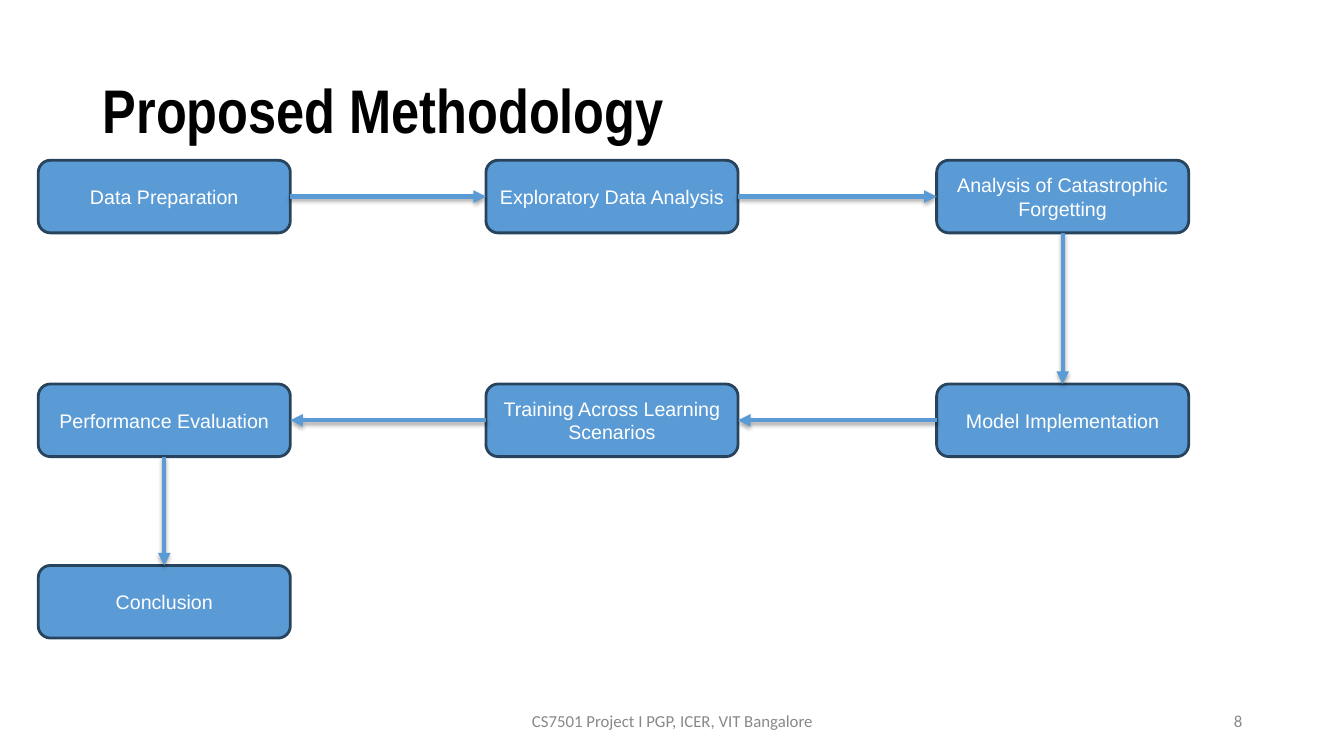
from dataclasses import dataclass
from itertools import pairwise

from lxml.etree import SubElement
from pptx import Presentation
from pptx.dml.color import RGBColor
from pptx.enum.shapes import MSO_CONNECTOR, MSO_SHAPE
from pptx.enum.text import MSO_ANCHOR, MSO_AUTO_SIZE, PP_ALIGN
from pptx.oxml import parse_xml
from pptx.oxml.ns import qn
from pptx.util import Inches, Pt


@dataclass(frozen=True)
class Theme:
    black: str = "000000"
    white: str = "FFFFFF"
    blue: str = "5B9BD5"
    navy: str = "28445D"
    grey: str = "888888"
    title_font: str = "Arial Narrow"
    step_font: str = "Arial"
    footer_font: str = "Calibri"
    title_size: int = 44
    step_size: int = 14
    footer_size: int = 12


SHADOW = (
    '<a:effectLst xmlns:a="http://schemas.openxmlformats.org/drawingml/2006/main">'
    '<a:outerShdw blurRad="39370" dist="22860" dir="5400000" rotWithShape="0">'
    '<a:srgbClr val="000000"><a:alpha val="35000"/></a:srgbClr>'
    "</a:outerShdw></a:effectLst>"
)

# Connection sites of a rounded rectangle
TOP, LEFT, BOTTOM, RIGHT = range(4)


class SlideBuilder:
    def __init__(self, slide, theme):
        self.slide = slide
        self.theme = theme

    def set_text(self, shape, text, font, size, color, align, bold=False):
        frame = shape.text_frame
        frame.text = text
        frame.word_wrap = True
        frame.auto_size = MSO_AUTO_SIZE.NONE
        frame.vertical_anchor = MSO_ANCHOR.MIDDLE
        para = frame.paragraphs[0]
        para.alignment = align
        span = para.runs[0]
        span.font.name = font
        span.font.size = Pt(size)
        span.font.bold = bold
        span.font.color.rgb = RGBColor.from_string(color)
        return para

    def title(self, text, left, top, width, height):
        title = self.slide.shapes.title
        title.left, title.top = Inches(left), Inches(top)
        title.width, title.height = Inches(width), Inches(height)
        para = self.set_text(title, text, self.theme.title_font, self.theme.title_size,
                             self.theme.black, PP_ALIGN.LEFT, bold=True)
        para.line_spacing = 0.9

    def footer(self, text, left, width, align):
        box = self.slide.shapes.add_textbox(
            Inches(left), Inches(6.95), Inches(width), Inches(0.4))
        self.set_text(box, text, self.theme.footer_font, self.theme.footer_size,
                      self.theme.grey, align)

    def step(self, text, left, top):
        box = self.slide.shapes.add_shape(
            MSO_SHAPE.ROUNDED_RECTANGLE,
            Inches(left), Inches(top), Inches(2.5), Inches(0.72))
        box.shadow.inherit = False
        box.fill.solid()
        box.fill.fore_color.rgb = RGBColor.from_string(self.theme.blue)
        box.line.color.rgb = RGBColor.from_string(self.theme.navy)
        box.line.width = Pt(2)
        self.set_text(box, text, self.theme.step_font, self.theme.step_size,
                      self.theme.white, PP_ALIGN.CENTER)
        return box

    def arrow(self, start, end):
        if start.left == end.left:
            sites = BOTTOM, TOP
        elif start.left < end.left:
            sites = RIGHT, LEFT
        else:
            sites = LEFT, RIGHT
        arrow = self.slide.shapes.add_connector(MSO_CONNECTOR.STRAIGHT, 0, 0, 0, 0)
        arrow.begin_connect(start, sites[0])
        arrow.end_connect(end, sites[1])
        arrow.line.color.rgb = RGBColor.from_string(self.theme.blue)
        arrow.line.width = Pt(3)
        properties = arrow.element.spPr
        SubElement(properties.find(qn("a:ln")), qn("a:tailEnd"), type="triangle")
        properties.append(parse_xml(SHADOW))


def main():
    deck = Presentation()
    deck.slide_width, deck.slide_height = Inches(13.33), Inches(7.5)
    builder = SlideBuilder(deck.slides.add_slide(deck.slide_layouts[5]), Theme())

    # Title and footer
    builder.title("Proposed Methodology", 0.92, 0.4, 11.5, 1.45)
    builder.footer("CS7501 Project I PGP, ICER, VIT Bangalore", 4.42, 4.5, PP_ALIGN.CENTER)
    builder.footer("8", 9.42, 3, PP_ALIGN.RIGHT)

    # Steps in flow order: text, column, row
    columns = 0.38, 4.82, 9.29
    rows = 1.59, 3.81, 5.61
    steps = [
        ("Data Preparation", 0, 0),
        ("Exploratory Data Analysis", 1, 0),
        ("Analysis of Catastrophic Forgetting", 2, 0),
        ("Model Implementation", 2, 1),
        ("Training Across Learning Scenarios", 1, 1),
        ("Performance Evaluation", 0, 1),
        ("Conclusion", 0, 2),
    ]
    boxes = [builder.step(text, columns[column], rows[row]) for text, column, row in steps]

    # Arrows from each step to the next
    for start, end in pairwise(boxes):
        builder.arrow(start, end)

    deck.save("out.pptx")


if __name__ == "__main__":
    main()
